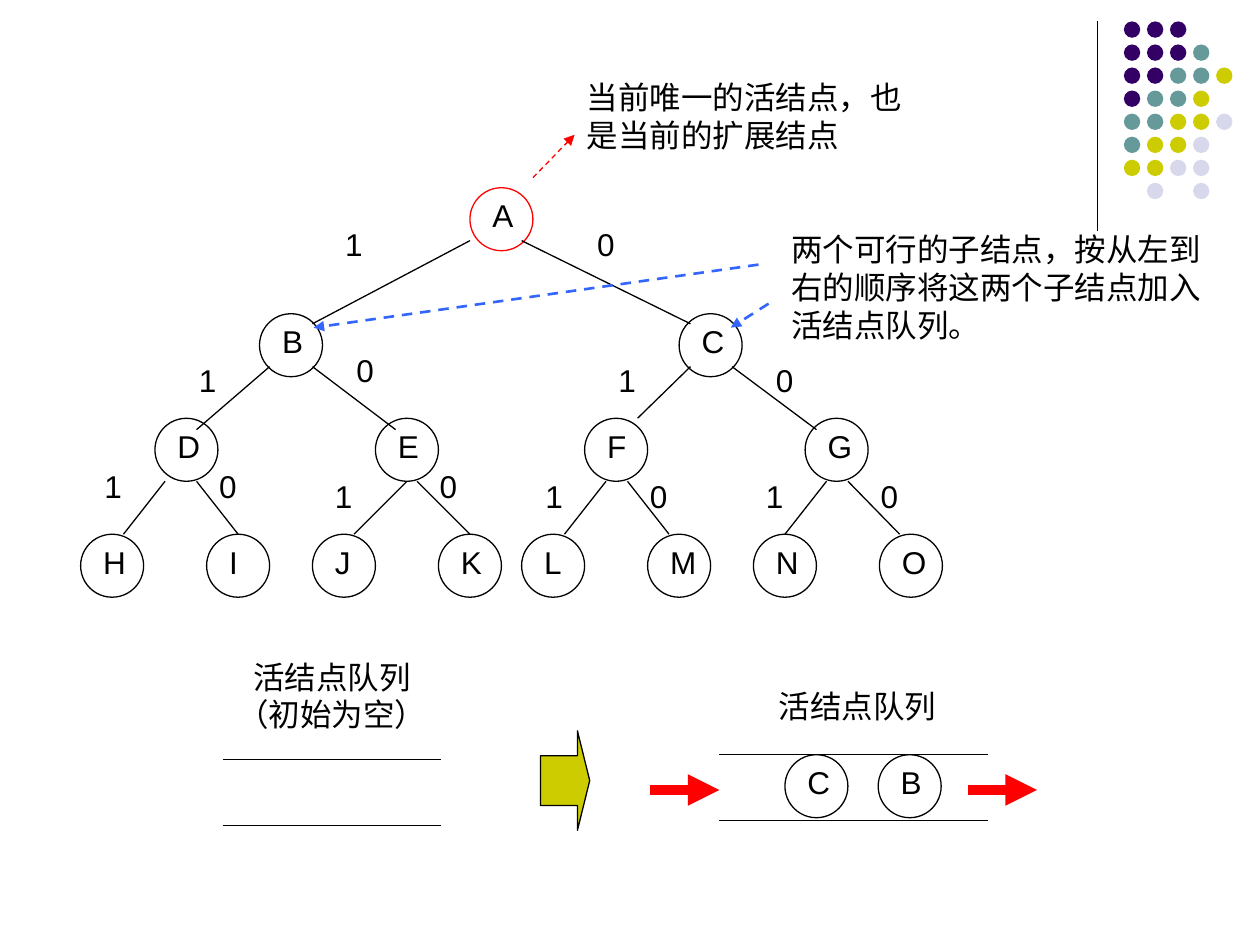
from lxml.etree import SubElement
from pptx import Presentation
from pptx.dml.color import RGBColor
from pptx.enum.dml import MSO_LINE
from pptx.enum.shapes import MSO_CONNECTOR, MSO_SHAPE
from pptx.enum.text import PP_ALIGN
from pptx.oxml.ns import qn
from pptx.util import Inches, Pt

COLORS = {name: RGBColor.from_string(value) for name, value in {
    "black": "000000", "red": "FF0000", "blue": "3366FF", "purple": "330066",
    "teal": "669999", "olive": "CCCC00", "lavender": "D8D8EC",
}.items()}
NODE_SIZE = 0.5

deck = Presentation()
deck.slide_width, deck.slide_height = Inches(10), Inches(7.5)
page = deck.slides.add_slide(deck.slide_layouts[6])
shapes = page.shapes


def add_text(text, left, top, width=0.42, height=0.4, align=PP_ALIGN.LEFT):
    box = shapes.add_textbox(Inches(left), Inches(top), Inches(width), Inches(height))
    box.text_frame.word_wrap = True
    para = box.text_frame.paragraphs[0]
    para.text = text
    para.alignment = align
    para.font.size = Pt(18)
    para.font.name = "Arial"
    para.font.color.rgb = COLORS["black"]


def add_line(start, end, color="black", width=0.75, dashed=False, arrow=False):
    line = shapes.add_connector(MSO_CONNECTOR.STRAIGHT, *map(Inches, start + end))
    line.line.color.rgb = COLORS[color]
    line.line.width = Pt(width)
    if dashed:
        line.line.dash_style = MSO_LINE.DASH
    if arrow:
        SubElement(line.line._get_or_add_ln(), qn("a:tailEnd"), type="triangle")
    SubElement(line._element.spPr, qn("a:effectLst"))


# Corner decoration: one letter per dot, a space where there is none
add_line((8.71, 0.17), (8.71, 1.83))
dot_colors = {"P": "purple", "T": "teal", "O": "olive", "L": "lavender"}
dot_rows = ["PPP", "PPPT", "PPTTO", "PTTO", "TTOOL", "TOOL", "OOLL", " L L"]
for row, letters in enumerate(dot_rows):
    for column, letter in enumerate(letters):
        if letter == " ":
            continue
        dot = shapes.add_shape(
            MSO_SHAPE.OVAL, Inches(8.92 + column * 0.183), Inches(0.17 + row * 0.183),
            Inches(0.13), Inches(0.13))
        dot.shadow.inherit = False
        dot.fill.solid()
        dot.fill.fore_color.rgb = COLORS[dot_colors[letter]]
        dot.line.fill.background()

# Tree levels, followed by the two nodes in the queue
node_rows = [
    (1.49, {"A": 3.73}),
    (2.49, {"B": 2.06, "C": 5.39}),
    (3.32, {"D": 1.23, "E": 2.98, "F": 4.64, "G": 6.39}),
    (4.24, {"H": 0.64, "I": 1.64, "J": 2.48, "K": 3.48,
            "L": 4.14, "M": 5.14, "N": 5.98, "O": 6.98}),
    (5.99, {"B": 6.97, "C": 6.23}),
]
for top, nodes in node_rows:
    for name, left in nodes.items():
        node = shapes.add_shape(MSO_SHAPE.OVAL, Inches(left), Inches(top),
                                Inches(NODE_SIZE), Inches(NODE_SIZE))
        node.shadow.inherit = False
        node.fill.background()
        node.line.color.rgb = COLORS["red" if name == "A" else "black"]
        node.line.width = Pt(0.75)
        add_text(name, left + 0.08, top + 0.02)

# Each branch: start, end, label, label position
branches = [
    ((3.73, 1.91), (2.48, 2.57), "1", (2.64, 1.74)),
    ((4.14, 1.91), (5.48, 2.57), "0", (4.64, 1.74)),
    ((2.14, 2.91), (1.56, 3.41), "1", (1.48, 2.82)),
    ((2.48, 2.91), (3.14, 3.41), "0", (2.73, 2.74)),
    ((5.48, 2.91), (5.06, 3.32), "1", (4.81, 2.82)),
    ((5.81, 2.91), (6.48, 3.41), "0", (6.06, 2.82)),
    ((1.31, 3.82), (0.98, 4.24), "1", (0.73, 3.66)),
    ((1.56, 3.82), (1.89, 4.24), "0", (1.64, 3.66)),
    ((3.23, 3.82), (2.81, 4.24), "1", (2.56, 3.74)),
    ((3.31, 3.82), (3.73, 4.24), "0", (3.39, 3.66)),
    ((4.81, 3.82), (4.48, 4.24), "1", (4.23, 3.74)),
    ((4.98, 3.82), (5.31, 4.24), "0", (5.06, 3.74)),
    ((6.56, 3.82), (6.23, 4.24), "1", (5.98, 3.74)),
    ((6.73, 3.82), (7.14, 4.24), "0", (6.89, 3.74)),
]
for start, end, label, position in branches:
    add_line(start, end)
    add_text(label, *position)

# Remarks on the tree
add_line((4.23, 1.41), (4.56, 1.07), "red", dashed=True, arrow=True)
add_text("当前唯一的活结点，也是当前的扩展结点", 4.56, 0.57, 2.92, 0.7)
for start, end in [((6.02, 2.1), (2.49, 2.6)), ((6.1, 2.41), (5.8, 2.6))]:
    add_line(start, end, "blue", 1.5, dashed=True, arrow=True)
add_text("两个可行的子结点，按从左到右的顺序将这两个子结点加入活结点队列。",
         6.18, 1.78, 3.61, 1)

# Queue before and after
for left, right, top in [(1.77, 3.5, 6.03), (5.71, 7.84, 5.99)]:
    for y in (top, top + 0.52):
        add_line((left, y), (right, y))
add_text("活结点队列（初始为空）", 1.77, 5.17, 1.73, 0.7, PP_ALIGN.CENTER)
add_text("活结点队列", 5.94, 5.4, 1.73, align=PP_ALIGN.CENTER)
for left in (5.16, 7.68):
    add_line((left, 6.27), (left + 0.55, 6.27), "red", 6, arrow=True)

step_arrow = shapes.add_shape(MSO_SHAPE.RIGHT_ARROW, Inches(4.29), Inches(5.8),
                              Inches(0.39), Inches(0.79))
step_arrow.adjustments[0] = 0.5
step_arrow.adjustments[1] = 0.25
step_arrow.shadow.inherit = False
step_arrow.fill.solid()
step_arrow.fill.fore_color.rgb = COLORS["olive"]
step_arrow.line.color.rgb = COLORS["black"]
step_arrow.line.width = Pt(0.75)

deck.save("out.pptx")
